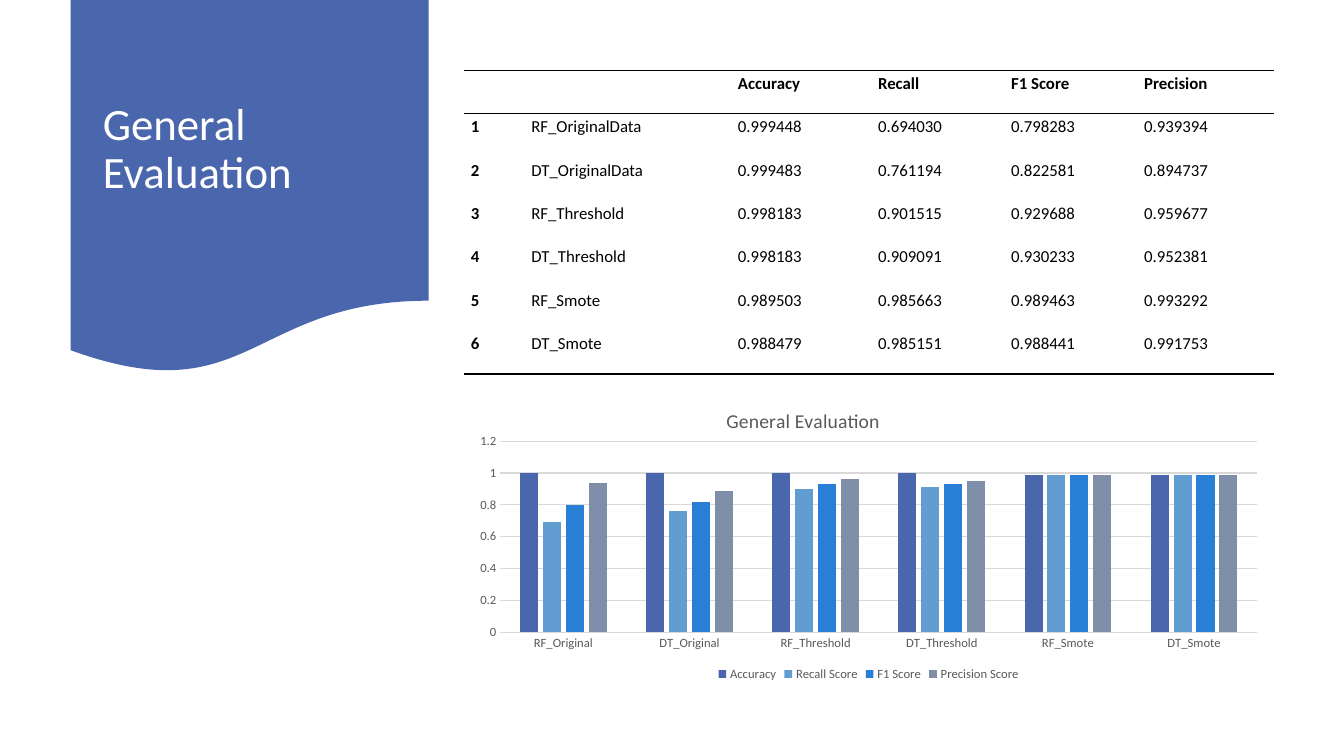
"""Build the General Evaluation slide: title banner, score table and column chart."""
from lxml import etree
from pptx import Presentation
from pptx.chart.data import CategoryChartData
from pptx.dml.color import RGBColor
from pptx.enum.chart import XL_CHART_TYPE, XL_LEGEND_POSITION, XL_TICK_MARK
from pptx.enum.shapes import MSO_SHAPE
from pptx.enum.text import MSO_ANCHOR, MSO_AUTO_SIZE, PP_ALIGN
from pptx.oxml.ns import qn
from pptx.util import Inches, Pt

COLUMNS = XL_CHART_TYPE.COLUMN_CLUSTERED
BOTTOM = XL_LEGEND_POSITION.BOTTOM
NO_TICK = XL_TICK_MARK.NONE
WAVE = MSO_SHAPE.FLOWCHART_DOCUMENT
MIDDLE = MSO_ANCHOR.MIDDLE
NO_FIT = MSO_AUTO_SIZE.NONE
LEFT, JUSTIFY = PP_ALIGN.LEFT, PP_ALIGN.JUSTIFY

TITLE = "General Evaluation"
HEADER = ["", "", "Accuracy ", "Recall ", "F1 Score", "Precision "]
SCORES = [
    ("RF_OriginalData", "0.999448", "0.694030", "0.798283", "0.939394"),
    ("DT_OriginalData", "0.999483", "0.761194", "0.822581", "0.894737"),
    ("RF_Threshold", "0.998183", "0.901515", "0.929688", "0.959677"),
    ("DT_Threshold", "0.998183", "0.909091", "0.930233", "0.952381"),
    ("RF_Smote", "0.989503", "0.985663", "0.989463", "0.993292"),
    ("DT_Smote", "0.988479", "0.985151", "0.988441", "0.991753"),
]
SERIES = {"Accuracy": "accuracy", "Recall Score": "recall",
          "F1 Score": "f1", "Precision Score": "precision"}
COLORS = {"banner": "4A66AC", "accuracy": "4A66AC", "recall": "629DD1",
          "f1": "297FD5", "precision": "7F8FA9", "white": "FFFFFF",
          "black": "000000", "label": "595959", "grid": "D9D9D9"}
FONT = "Calibri"
NO_STYLE = "{2D5ABB26-0587-4C30-8999-92F81FD0307C}"
COL_WIDTHS = [0.6, 2.05, 1.39, 1.32, 1.32, 1.36]
ROW_HEIGHT = 0.43
CONTENT_LEFT, CONTENT_WIDTH, CONTENT_HEIGHT = 4.6, 8.03, 3.01
TABLE_TOP, CHART_TOP = 0.7, 3.79


def color(name):
    return RGBColor.from_string(COLORS[name])


def box(*lengths):
    return [Inches(v) for v in lengths]


def set_font(font, size, name, bold=False):
    font.name, font.size, font.bold = FONT, Pt(size), bold
    font.color.rgb = color(name)


def set_border(cell, sides):
    tc_pr = cell._tc.get_or_add_tcPr()
    for i, side in enumerate(sides):
        ln = etree.Element(qn("a:" + side), w=str(Pt(1)))
        fill = etree.SubElement(ln, qn("a:solidFill"))
        etree.SubElement(fill, qn("a:srgbClr"), val=COLORS["black"])
        tc_pr.insert(i, ln)


def set_layout(parent, index, **shares):
    for old in parent.findall(qn("c:layout")):
        parent.remove(old)
    layout = etree.Element(qn("c:layout"))
    manual = etree.SubElement(layout, qn("c:manualLayout"))
    if "w" in shares:
        etree.SubElement(manual, qn("c:layoutTarget"), val="inner")
    for axis in "xy":
        etree.SubElement(manual, qn(f"c:{axis}Mode"), val="edge")
    for key, share in shares.items():
        etree.SubElement(manual, qn("c:" + key), val=str(share))
    parent.insert(index, layout)


def add_banner(s):
    wave = s.shapes.add_shape(WAVE, *box(0.7, 0, 3.55, 3.72))
    wave.shadow.inherit = False
    wave.fill.solid()
    wave.fill.fore_color.rgb = color("banner")
    wave.line.fill.background()
    title = s.shapes.title
    title._element.addprevious(wave._element)
    title.left, title.top, title.width, title.height = box(0.92, 0.19, 3.11, 2.59)
    tf = title.text_frame
    tf.text = TITLE
    tf.word_wrap, tf.auto_size, tf.vertical_anchor = True, NO_FIT, MIDDLE
    p = tf.paragraphs[0]
    p.alignment, p.line_spacing = LEFT, 0.9
    set_font(p.font, 32, "white")


def add_scores(s):
    rows = [HEADER] + [(str(i), *row) for i, row in enumerate(SCORES, 1)]
    frame = s.shapes.add_table(
        len(rows), len(HEADER),
        *box(CONTENT_LEFT, TABLE_TOP, CONTENT_WIDTH, CONTENT_HEIGHT))
    table = frame.table
    table.horz_banding = False
    table._tbl.tblPr.find(qn("a:tableStyleId")).text = NO_STYLE
    for col, width in zip(table.columns, COL_WIDTHS):
        col.width = Inches(width)
    borders = {0: ["lnT", "lnB"], len(rows) - 1: ["lnB"]}
    for r, row in enumerate(rows):
        table.rows[r].height = Inches(ROW_HEIGHT)
        for c, text in enumerate(row):
            cell = table.cell(r, c)
            cell.text = text
            cell.fill.background()
            cell.margin_left = cell.margin_right = Inches(0.07)
            cell.margin_top = cell.margin_bottom = 0
            p = cell.text_frame.paragraphs[0]
            p.alignment, p.line_spacing = JUSTIFY, 1.15
            p.space_before, p.space_after = Pt(5), Pt(10)
            set_font(p.font, 12, "black", r == 0 or c == 0)
            set_border(cell, borders.get(r, []))


def add_score_chart(s):
    data = CategoryChartData()
    data.categories = [row[0].replace("Data", "") for row in SCORES]
    for i, name in enumerate(SERIES, 1):
        data.add_series(name, [round(float(row[i]), 2) for row in SCORES])
    chart = s.shapes.add_chart(
        COLUMNS, *box(CONTENT_LEFT, CHART_TOP, CONTENT_WIDTH, CONTENT_HEIGHT),
        data).chart
    set_font(chart.font, 10, "black")

    chart.has_title = True
    chart.chart_title.text_frame.text = TITLE
    set_font(chart.chart_title.text_frame.paragraphs[0].font, 14, "label")
    set_layout(chart.chart_title._element, 1, x=0.32, y=0.07)
    set_layout(chart._chartSpace.chart.plotArea, 0, x=0.045, y=0.195, w=0.935, h=0.63)

    chart.has_legend = True
    chart.legend.position, chart.legend.include_in_layout = BOTTOM, False
    set_font(chart.legend.font, 9, "label")

    plot = chart.plots[0]
    plot.gap_width, plot.overlap, plot.vary_by_categories = 219, -27, False
    for series, name in zip(plot.series, SERIES.values()):
        series.format.fill.solid()
        series.format.fill.fore_color.rgb = color(name)

    cat, val = chart.category_axis, chart.value_axis
    for axis in (cat, val):
        axis.major_tick_mark = axis.minor_tick_mark = NO_TICK
        set_font(axis.tick_labels.font, 9, "label")
    val.minimum_scale, val.maximum_scale, val.major_unit = 0, 1.2, 0.2
    val.tick_labels.number_format = "General"
    val.tick_labels.number_format_is_linked = False
    val.format.line.fill.background()
    for line in (cat.format.line, val.major_gridlines.format.line):
        line.color.rgb, line.width = color("grid"), Pt(0.75)


def main():
    prs = Presentation()
    prs.slide_width, prs.slide_height = box(13.33, 7.5)
    s = prs.slides.add_slide(prs.slide_layouts[5])
    add_banner(s)
    add_score_chart(s)
    add_scores(s)
    prs.save("out.pptx")


if __name__ == "__main__":
    main()
